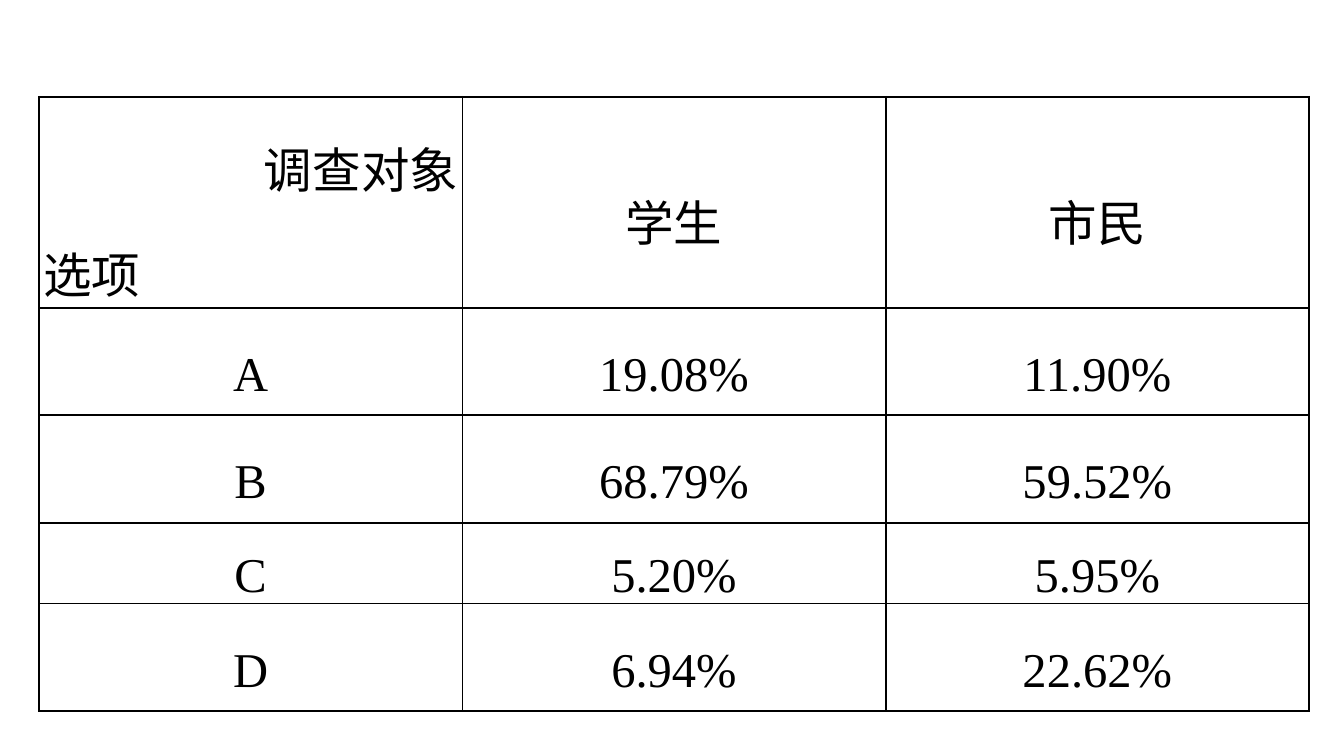
from lxml.etree import SubElement
from pptx import Presentation
from pptx.dml.color import RGBColor
from pptx.enum.text import MSO_ANCHOR, PP_ALIGN
from pptx.oxml.ns import qn
from pptx.util import Inches, Pt

COLORS = {"ink": "000000"}
ROWS = [
    ["调查对象\n选项", "学生", "市民"],
    ["A", "19.08%", "11.90%"],
    ["B", "68.79%", "59.52%"],
    ["C", "5.20%", "5.95%"],
    ["D", "6.94%", "22.62%"],
]
HEIGHTS = [0.8, 0.8, 0.8, 0.53, 0.8]


def add_lines(cell):
    props = cell._tc.get_or_add_tcPr()
    for side in ("lnL", "lnR", "lnT", "lnB"):
        line = SubElement(props, qn(f"a:{side}"), w=str(Pt(1)))
        fill = SubElement(line, qn("a:solidFill"))
        SubElement(fill, qn("a:srgbClr"), val=COLORS["ink"])


deck = Presentation()
deck.slide_width = Inches(10)
deck.slide_height = deck.slide_width * 9 // 16
slide = deck.slides.add_slide(deck.slide_layouts[6])

table = slide.shapes.add_table(
    len(ROWS), 3, Inches(0.29), Inches(0.72), Inches(9.45), Inches(sum(HEIGHTS))
).table
table.first_row = False
table.horz_banding = False
for col in table.columns:
    col.width = Inches(3.15)

for row, height, texts in zip(table.rows, HEIGHTS, ROWS):
    row.height = Inches(height)
    for cell, text in zip(row.cells, texts):
        add_lines(cell)
        cell.fill.background()
        cell.vertical_anchor = MSO_ANCHOR.MIDDLE
        cell.margin_left = cell.margin_right = Inches(0.03)
        cell.margin_top = cell.margin_bottom = 0
        cell.text_frame.text = text
        for para in cell.text_frame.paragraphs:
            para.alignment = PP_ALIGN.CENTER
            para.line_spacing = 1.5
            for run in para.runs:
                run.font.size = Pt(26)
                run.font.name = "Times New Roman"
                run.font.color.rgb = RGBColor.from_string(COLORS["ink"])

target, option = table.cell(0, 0).text_frame.paragraphs
target.alignment = PP_ALIGN.RIGHT
option.alignment = PP_ALIGN.LEFT

deck.save("out.pptx")
